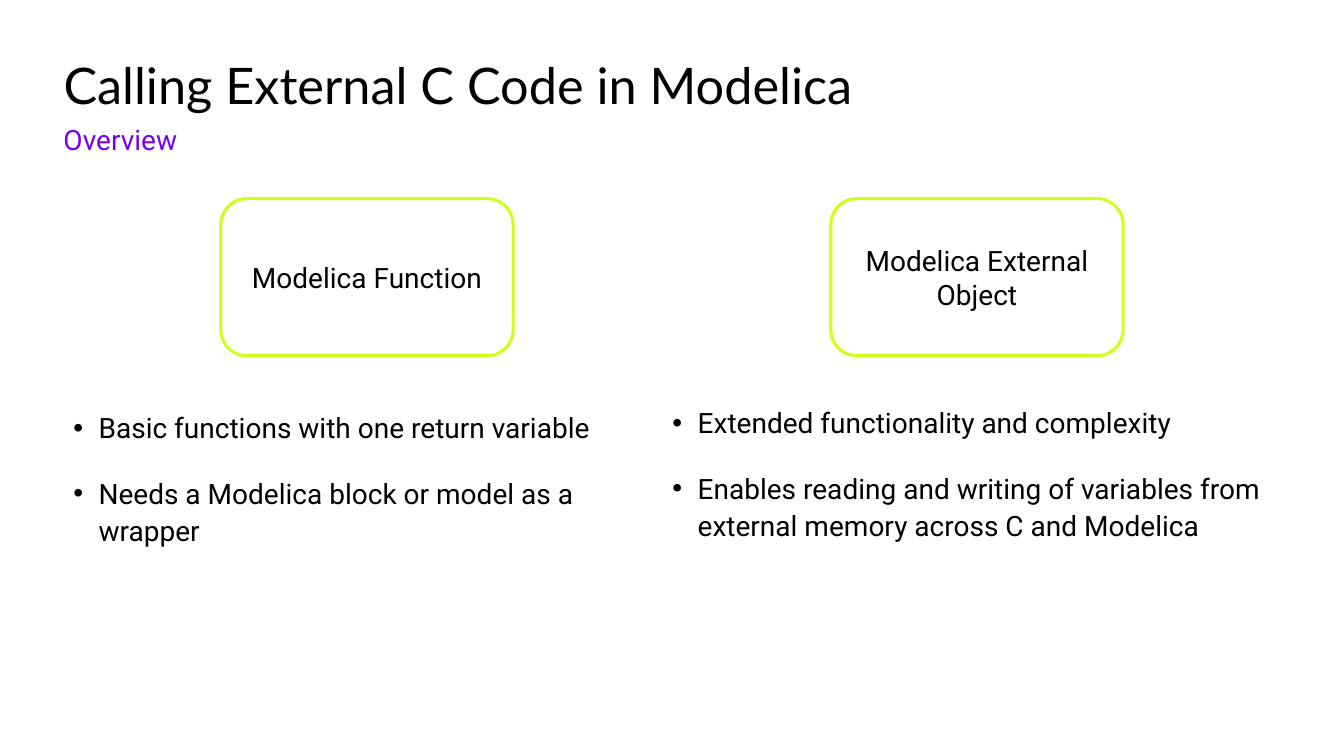
from dataclasses import dataclass

from lxml.etree import SubElement
from pptx import Presentation
from pptx.dml.color import RGBColor
from pptx.enum.shapes import MSO_SHAPE as Shape
from pptx.enum.text import MSO_ANCHOR as Anchor, MSO_AUTO_SIZE as AutoSize, PP_ALIGN as Align
from pptx.oxml.ns import qn
from pptx.util import Inches, Pt


@dataclass(frozen=True)
class Theme:
    black: RGBColor = RGBColor.from_string("000000")
    white: RGBColor = RGBColor.from_string("FFFFFF")
    purple: RGBColor = RGBColor.from_string("7800F0")
    lime: RGBColor = RGBColor.from_string("CFFF1F")
    title_font: str = "Lato"
    body_font: str = "Roboto"
    title_size: Pt = Pt(36)
    body_size: Pt = Pt(20)


theme = Theme()


def prepare_frame(shape, inset_x=0, inset_y=0, anchor=Anchor.TOP):
    frame = shape.text_frame
    frame.word_wrap = True
    frame.auto_size = AutoSize.NONE
    frame.vertical_anchor = anchor
    frame.margin_left = frame.margin_right = Inches(inset_x)
    frame.margin_top = frame.margin_bottom = Inches(inset_y)
    return frame


def write(paragraph, text, color=theme.black, font=theme.body_font,
          size=theme.body_size, align=Align.LEFT, line_spacing=None):
    paragraph.alignment = align
    paragraph.line_spacing = line_spacing
    run = paragraph.add_run()
    run.text = text
    run.font.name = font
    run.font.size = size
    run.font.color.rgb = color


presentation = Presentation()
presentation.slide_width = Inches(13.33)
presentation.slide_height = Inches(7.5)
slide = presentation.slides.add_slide(presentation.slide_layouts[5])
left_margin = 0.63

# Title
title = slide.shapes.title
title.left, title.top = Inches(left_margin), Inches(0.55)
title.width, title.height = Inches(10), Inches(0.59)
write(prepare_frame(title).paragraphs[0], "Calling External C Code in Modelica",
      font=theme.title_font, size=theme.title_size, line_spacing=Pt(42))

# Subtitle
subtitle = slide.shapes.add_textbox(Inches(left_margin), Inches(1.2), Inches(10), Inches(0.34))
write(prepare_frame(subtitle).paragraphs[0], "Overview", theme.purple, line_spacing=Pt(25))

# Two columns: heading, box left, list left, list insets, bullet points
columns = [
    ("Modelica Function", 2.19, left_margin, (0.1, 0.05),
     ["Basic functions with one return variable",
      "Needs a Modelica block or model as a wrapper"]),
    ("Modelica External Object", 8.24, 6.67, (0, 0),
     ["Extended functionality and complexity",
      "Enables reading and writing of variables from external memory across C and Modelica"]),
]

for heading, box_left, list_left, insets, points in columns:
    # Outlined heading box
    box = slide.shapes.add_shape(Shape.ROUNDED_RECTANGLE, Inches(box_left), Inches(1.97),
                                 Inches(2.9), Inches(1.56))
    box.shadow.inherit = False
    box.fill.solid()
    box.fill.fore_color.rgb = theme.white
    box.line.color.rgb = theme.lime
    box.line.width = Pt(2.25)
    frame = prepare_frame(box, 0.1, 0.05, Anchor.MIDDLE)
    write(frame.paragraphs[0], heading, align=Align.CENTER)

    # Bulleted list
    bullet_list = slide.shapes.add_textbox(Inches(list_left), Inches(3.99),
                                           Inches(6.04), Inches(2.28))
    frame = prepare_frame(bullet_list, *insets)
    for index, point in enumerate(points):
        paragraph = frame.add_paragraph() if index else frame.paragraphs[0]
        properties = paragraph._p.get_or_add_pPr()
        properties.set("marL", str(Inches(0.25)))
        properties.set("indent", str(-Inches(0.25)))
        SubElement(properties, qn("a:buFont"), typeface="Arial")
        SubElement(properties, qn("a:buChar"), char="•")
        if index:
            paragraph.space_before = Pt(20)
        write(paragraph, point, line_spacing=Pt(26.6))

presentation.save("out.pptx")
